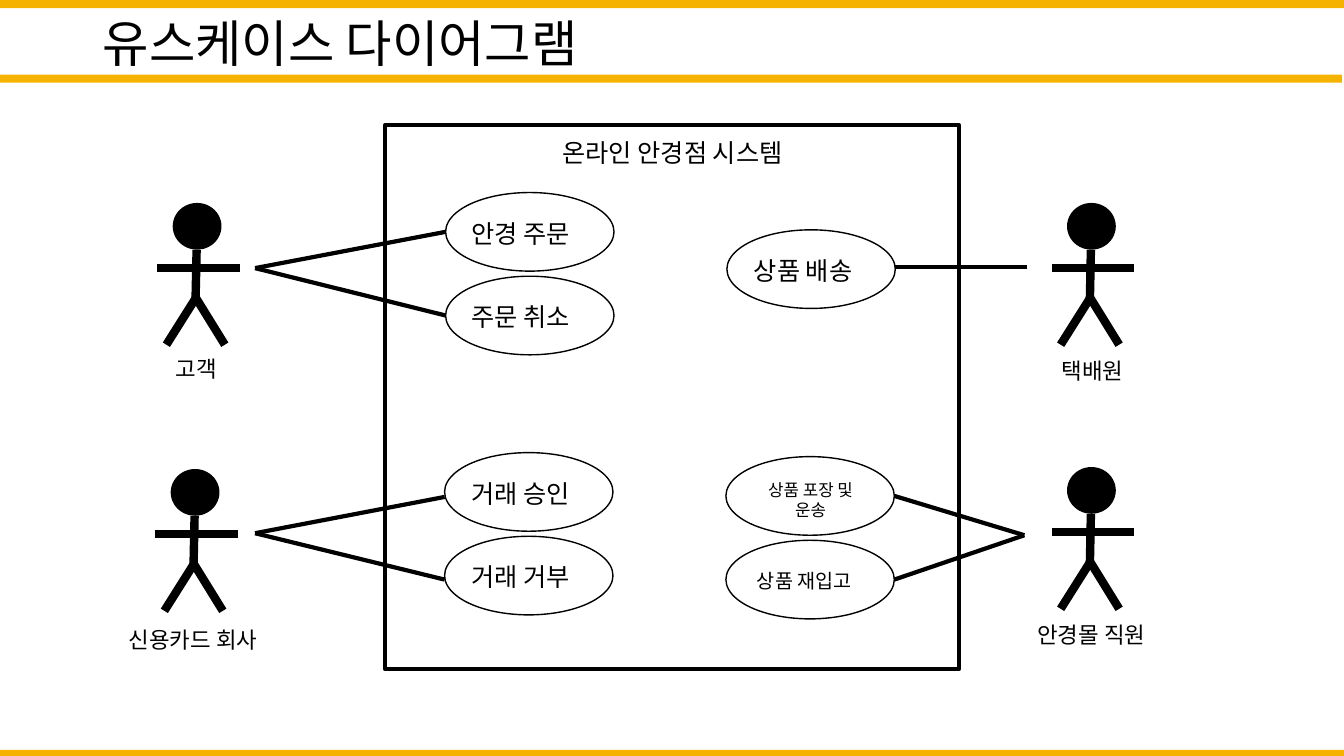
"""Build the use case diagram slide of an online eyewear shop."""
from dataclasses import dataclass

from lxml.etree import SubElement
from pptx import Presentation
from pptx.dml.color import RGBColor
from pptx.enum.shapes import MSO_CONNECTOR as Connector, MSO_SHAPE as Shape
from pptx.enum.text import MSO_ANCHOR as Anchor, PP_ALIGN as Align
from pptx.oxml.ns import qn
from pptx.util import Inches, Pt


@dataclass(frozen=True)
class Theme:
    """Colours, font, type sizes and line widths."""
    ink: str = "000000"
    paper: str = "FFFFFF"
    accent: str = "F5B300"
    font: str = "Noto Sans CJK KR"
    title: int = 36
    body: int = 18
    actor: int = 16
    small: int = 14
    tiny: int = 12
    thin: int = 1
    link: int = 3
    limb: int = 6


THEME = Theme()
TITLE = ("유스케이스 다이어그램", (0.92, 0.05, 11.5, 0.82))
BARS = [(0, 0), (-0.02, 0.74), (0, 7.44)]
BAR_SIZE = (13.33, 0.08)
SYSTEM = ("온라인 안경점 시스템", (5.04, 1.12, 3.26, 0.78))
SYSTEM_FRAME = (3.82, 1.24, 5.69, 5.4)

# name, head left and top, label box
ACTORS = [
    ("고객", (1.72, 2.02), (1.5, 3.47, 0.89, 0.37)),
    ("택배원", (10.59, 2.02), (10.02, 3.49, 1.63, 0.37)),
    ("안경몰 직원", (10.59, 4.64), (10.01, 6.11, 1.63, 0.37)),
    ("신용카드 회사", (1.7, 4.66), (1.1, 6.16, 1.63, 0.37)),
]
HEAD_SIZE = (0.47, 0.45)
LIMBS = [
    ((0.23, 0.46), (0.22, 0.94)),
    ((0.22, 0.94), (-0.07, 1.4)),
    ((0.22, 0.93), (0.51, 1.4)),
    ((-0.16, 0.64), (0.66, 0.64)),
]

OVAL_SIZE = (1.67, 0.78)
USE_CASES = [
    ("안경 주문", (4.42, 1.91), (4.58, 2.12, 1.34, 0.4), THEME.body, Align.LEFT),
    ("주문 취소", (4.42, 2.74), (4.58, 2.94, 1.34, 0.4), THEME.body, Align.LEFT),
    ("거래 승인", (4.41, 4.49), (4.58, 4.7, 1.34, 0.4), THEME.body, Align.LEFT),
    ("거래 거부", (4.41, 5.32), (4.58, 5.52, 1.34, 0.4), THEME.body, Align.LEFT),
    ("상품 배송", (7.21, 2.28), (7.38, 2.48, 1.34, 0.4), THEME.body, Align.LEFT),
    ("상품 포장 및 운송", (7.2, 4.53), (7.37, 4.71, 1.34, 0.5), THEME.tiny, Align.CENTER),
    ("상품 재입고", (7.2, 5.36), (7.41, 5.59, 1.34, 0.34), THEME.small, Align.LEFT),
]
LINKS = [
    ((2.53, 2.66), [(4.42, 2.3), (4.42, 3.13)]),
    ((2.53, 5.29), [(4.41, 4.93), (4.41, 5.75)]),
    ((10.16, 5.31), [(8.87, 5.75), (8.87, 4.92)]),
    ((10.19, 2.65), [(8.88, 2.65)]),
]


def colour(value):
    return RGBColor.from_string(value)


def add_shape(page, kind, place, fill=None, width=None):
    shape = page.shapes.add_shape(kind, *map(Inches, place))
    shape.shadow.inherit = False
    if fill:
        shape.fill.solid()
        shape.fill.fore_color.rgb = colour(fill)
    else:
        shape.fill.background()
    if width:
        shape.line.color.rgb = colour(THEME.ink)
        shape.line.width = Pt(width)
    else:
        shape.line.fill.background()


def add_line(page, start, end, width):
    line = page.shapes.add_connector(
        Connector.STRAIGHT, *map(Inches, (*start, *end)))
    line.line.color.rgb = colour(THEME.ink)
    line.line.width = Pt(width)
    SubElement(line._element.spPr, qn("a:effectLst"))


def add_text(page, text, place, size, align=Align.CENTER, anchor=Anchor.TOP,
             spacing=None):
    box = page.shapes.add_textbox(*map(Inches, place))
    frame = box.text_frame
    frame.word_wrap = True
    frame.vertical_anchor = anchor
    para = frame.paragraphs[0]
    para.alignment = align
    if spacing:
        para.line_spacing = spacing
    span = para.add_run()
    span.text = text
    span.font.size = Pt(size)
    span.font.name = THEME.font
    span.font.color.rgb = colour(THEME.ink)
    properties = span.font._element
    SubElement(properties, qn("a:ea")).set("typeface", THEME.font)


def add_actor(page, name, head, label):
    add_shape(page, Shape.OVAL, (*head, *HEAD_SIZE), THEME.ink, THEME.thin)
    for limb in LIMBS:
        start, end = [(head[0] + x, head[1] + y) for x, y in limb]
        add_line(page, start, end, THEME.limb)
    add_text(page, name, label, THEME.actor)


def main():
    deck = Presentation()
    deck.slide_width, deck.slide_height = Inches(13.33), Inches(7.5)
    page = deck.slides.add_slide(deck.slide_layouts[6])

    add_text(page, *TITLE, THEME.title, Align.LEFT, Anchor.MIDDLE, 0.9)
    for corner in BARS:
        add_shape(page, Shape.RECTANGLE, (*corner, *BAR_SIZE), THEME.accent)
    add_shape(page, Shape.RECTANGLE, SYSTEM_FRAME, width=THEME.link)
    add_text(page, *SYSTEM, THEME.body, anchor=Anchor.MIDDLE)
    for actor in ACTORS:
        add_actor(page, *actor)
    for name, corner, label, size, align in USE_CASES:
        add_shape(page, Shape.OVAL, (*corner, *OVAL_SIZE), THEME.paper, THEME.thin)
        add_text(page, name, label, size, align)
    for tip, ends in LINKS:
        for end in ends:
            add_line(page, tip, end, THEME.link)
    deck.save("out.pptx")


if __name__ == "__main__":
    main()
